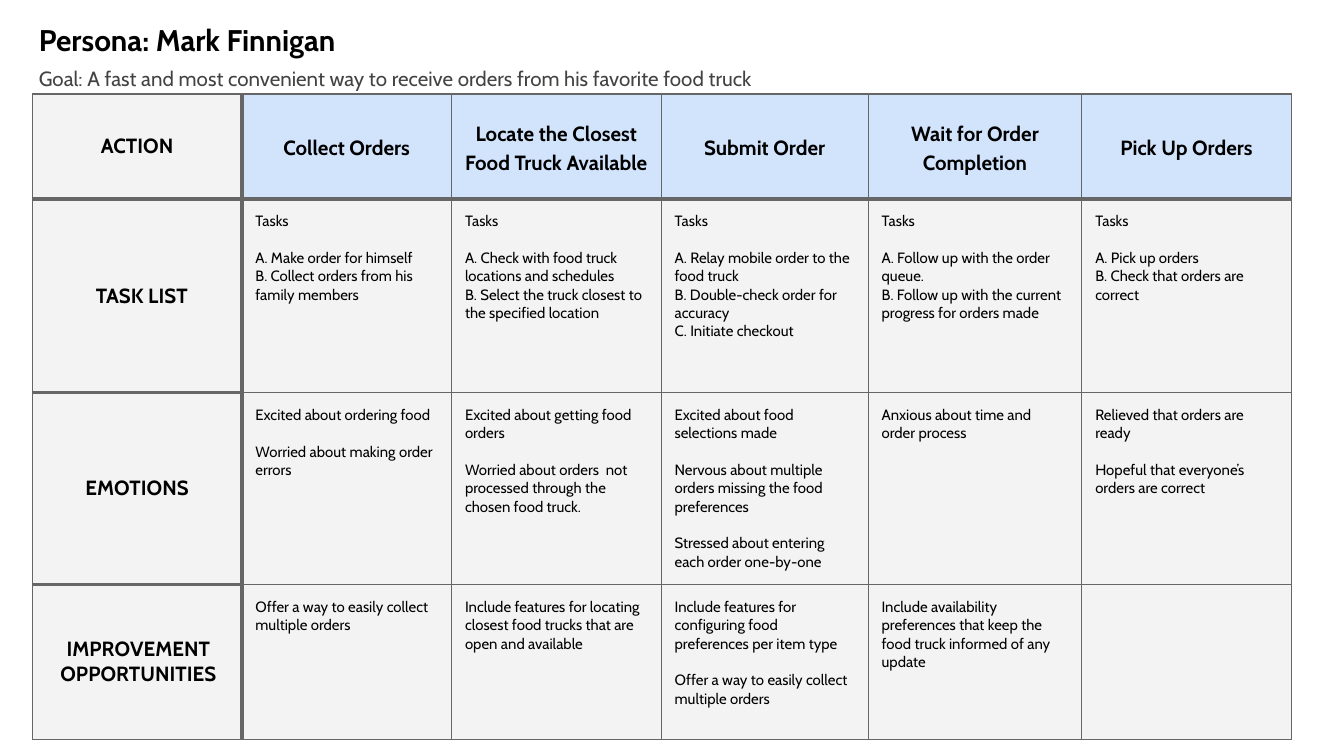
"""Build a customer journey map slide for one persona."""
from lxml.etree import SubElement
from pptx import Presentation
from pptx.dml.color import RGBColor
from pptx.enum.text import MSO_ANCHOR as Anchor, PP_ALIGN as Align
from pptx.oxml.ns import qn
from pptx.util import Inches, Pt

SLIDE_WIDTH = 10
SLIDE_HEIGHT = SLIDE_WIDTH * 9 / 16
FONT = "Cabin"
BLACK, GOAL_GREY, BORDER = "000000", "434343", "666666"
HEADER_FILL, BODY_FILL = "D2E3FC", "F3F3F3"
THIN, THICK = 0.75, 2.25
BLOCK_GAP = 9.8

TITLE = "Persona: Mark Finnigan"
GOAL = "Goal: A fast and most convenient way to receive orders from his favorite food truck"
STEPS = ["Collect Orders", "Locate the Closest Food Truck Available", "Submit Order",
         "Wait for Order Completion", "Pick Up Orders"]
COLUMN_WIDTHS = [1.56, 1.56, 1.56, 1.54, 1.59, 1.56]
ROW_HEIGHTS = [0.78, 1.44, 1.43, 1.15]
LABELS = [("ACTION", 0.1), ("TASK LIST", 0.17), ("EMOTIONS", 0.1),
          ("IMPROVEMENT OPPORTUNITIES", 0.12)]
TASKS = [
    ["A. Make order for himself", "B. Collect orders from his family members"],
    ["A. Check with food truck locations and schedules",
     "B. Select the truck closest to the specified location"],
    ["A. Relay mobile order to the food truck", "B. Double-check order for accuracy",
     "C. Initiate checkout"],
    ["A. Follow up with the order queue.",
     "B. Follow up with the current progress for orders made"],
    ["A. Pick up orders", "B. Check that orders are correct"],
]
EMOTIONS = [
    [["Excited about ordering food"], ["Worried about making order errors"]],
    [["Excited about getting food orders"],
     ["Worried about orders  not processed through the chosen food truck."]],
    [["Excited about food selections made"],
     ["Nervous about multiple orders missing the food preferences"],
     ["Stressed about entering each order one-by-one"]],
    [["Anxious about time and order process"]],
    [["Relieved that orders are ready"], ["Hopeful that everyone’s orders are correct"]],
]
IMPROVEMENTS = [
    [["Offer a way to easily collect multiple orders"]],
    [["Include features for locating closest food trucks that are open and available"]],
    [["Include features for configuring food preferences per item type"],
     ["Offer a way to easily collect multiple orders"]],
    [["Include availability preferences that keep the food truck informed of any update"]],
    [],
]
BODY = [[[["Tasks"], tasks] for tasks in TASKS], EMOTIONS, IMPROVEMENTS]


def color(hex_value):
    return RGBColor.from_string(hex_value)


def style(paragraph, size, bold=False, hex_value=BLACK):
    for run in paragraph.runs:
        run.font.name, run.font.size, run.font.bold = FONT, Pt(size), bold
        run.font.color.rgb = color(hex_value)


def set_margins(holder):
    holder.margin_left = holder.margin_right = Inches(0.1)
    holder.margin_top = holder.margin_bottom = Inches(0.1)


def add_text(slide, text, box, size, bold, hex_value):
    frame = slide.shapes.add_textbox(*map(Inches, box)).text_frame
    frame.word_wrap = True
    set_margins(frame)
    frame.text = text
    style(frame.paragraphs[0], size, bold, hex_value)


def set_borders(cell, row, column):
    def horizontal(edge):
        return THICK if edge == 1 or (column == 0 and edge in (2, 3)) else THIN

    def vertical(edge):
        return THICK if edge == 1 else THIN

    widths = {"lnL": vertical(column), "lnR": vertical(column + 1),
              "lnT": horizontal(row), "lnB": horizontal(row + 1)}
    properties = cell._tc.get_or_add_tcPr()
    for tag, width in widths.items():
        line = SubElement(properties, qn(f"a:{tag}"), w=str(Pt(width)))
        SubElement(SubElement(line, qn("a:solidFill")), qn("a:srgbClr"), val=BORDER)


def write_heading(cell, text, left_margin=0.1, spacing=1.0):
    cell.vertical_anchor = Anchor.MIDDLE
    cell.margin_left = Inches(left_margin)
    cell.text_frame.text = text
    paragraph = cell.text_frame.paragraphs[0]
    paragraph.alignment, paragraph.line_spacing = Align.CENTER, spacing
    style(paragraph, 11, bold=True)


def write_blocks(cell, blocks):
    frame = cell.text_frame
    frame.text = "\n".join(line for block in blocks for line in block)
    starts = [sum(map(len, blocks[:index])) for index in range(1, len(blocks))]
    for index, paragraph in enumerate(frame.paragraphs):
        style(paragraph, 8)
        if index in starts:
            paragraph.space_before = Pt(BLOCK_GAP)


def add_journey_table(slide):
    table = slide.shapes.add_table(
        len(ROW_HEIGHTS), len(COLUMN_WIDTHS), Inches(0.24), Inches(0.7),
        Inches(sum(COLUMN_WIDTHS)), Inches(sum(ROW_HEIGHTS))).table
    table.first_row = table.horz_banding = False
    for column, width in zip(table.columns, COLUMN_WIDTHS):
        column.width = Inches(width)
    for row, height in enumerate(ROW_HEIGHTS):
        table.rows[row].height = Inches(height)
        for column in range(len(COLUMN_WIDTHS)):
            cell = table.cell(row, column)
            set_borders(cell, row, column)
            set_margins(cell)
            cell.fill.solid()
            is_step = row == 0 and column > 0
            cell.fill.fore_color.rgb = color(HEADER_FILL if is_step else BODY_FILL)
            if column == 0:
                write_heading(cell, *LABELS[row])
            elif is_step:
                write_heading(cell, STEPS[column - 1], spacing=1.15)
            else:
                write_blocks(cell, BODY[row - 1][column - 1])


def main():
    presentation = Presentation()
    presentation.slide_width = Inches(SLIDE_WIDTH)
    presentation.slide_height = Inches(SLIDE_HEIGHT)
    slide = presentation.slides.add_slide(presentation.slide_layouts[6])
    add_text(slide, TITLE, (0.19, 0.06, 5.22, 0.44), 16, True, BLACK)
    add_text(slide, GOAL, (0.19, 0.4, 9.28, 0.3), 11, False, GOAL_GREY)
    add_journey_table(slide)
    presentation.save("out.pptx")


if __name__ == "__main__":
    main()
